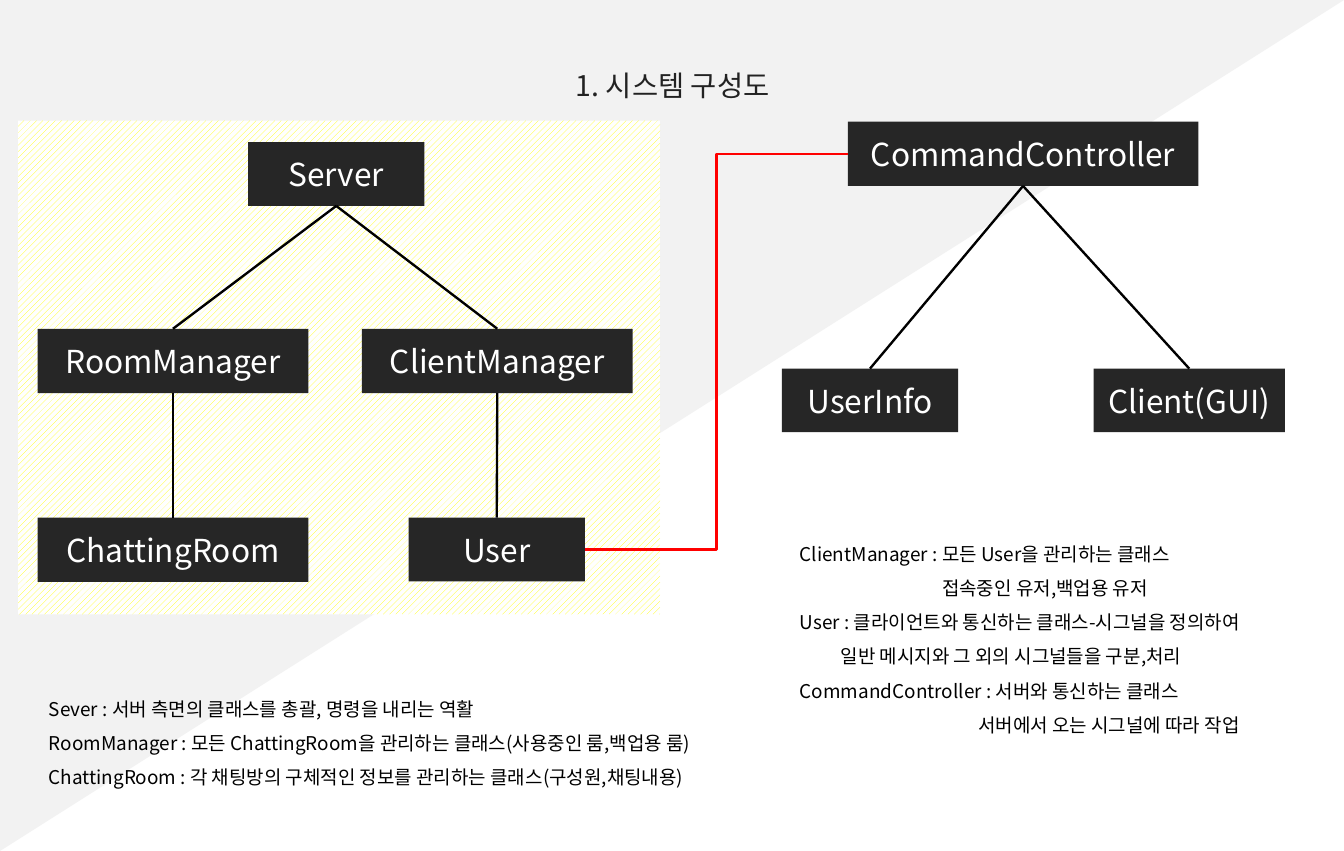
from lxml.etree import SubElement
from pptx import Presentation
from pptx.dml.color import RGBColor
from pptx.enum.dml import MSO_PATTERN
from pptx.enum.shapes import MSO_CONNECTOR, MSO_SHAPE
from pptx.enum.text import MSO_ANCHOR, MSO_AUTO_SIZE, PP_ALIGN
from pptx.oxml.ns import qn
from pptx.util import Inches, Pt

COLORS = {
    "backdrop": "F2F2F2",
    "node": "262626",
    "node_text": "FFFFFF",
    "title": "222222",
    "body": "000000",
    "tree_line": "000000",
    "link_line": "FF0000",
    "stripe": "FFFF00",
    "stripe_ground": "FFFFFF",
}
FONT = "Noto Sans CJK KR"
COLUMNS, ROWS = 118.1, 74.8
CELL = Inches(0.1)
TOP, LEFT, BOTTOM, RIGHT = range(4)

FORMATS = {
    "title": {"size": Pt(18), "name": FONT},
    "body": {"size": Pt(12), "name": FONT},
    "node_text": {"size": Pt(20), "name": FONT},
}
PARAGRAPHS = {
    "title": {"alignment": PP_ALIGN.CENTER, "line_spacing": 1.5},
    "body": {"alignment": PP_ALIGN.LEFT, "line_spacing": 1.5},
    "node_text": {"alignment": PP_ALIGN.CENTER},
}

# name: left, top, width, height in grid cells
NODES = {
    "Server": (21.8, 12.5, 15.5, 5.6),
    "RoomManager": (3.3, 28.9, 23.8, 5.65),
    "ClientManager": (31.8, 28.9, 23.8, 5.65),
    "User": (35.9, 45.5, 15.5, 5.6),
    "ChattingRoom": (3.3, 45.5, 23.8, 5.65),
    "CommandController": (74.5, 10.7, 30.8, 5.65),
    "Client(GUI)": (96.1, 32.4, 16.8, 5.6),
    "UserInfo": (68.7, 32.4, 15.5, 5.6),
}
BRANCHES = [
    ("Server", "RoomManager"),
    ("Server", "ClientManager"),
    ("RoomManager", "ChattingRoom"),
    ("ClientManager", "User"),
    ("CommandController", "Client(GUI)"),
    ("CommandController", "UserInfo"),
]
# text, indent in grid cells
CLIENT_NOTES = [
    ("ClientManager : 모든 User을 관리하는 클래스", 0),
    ("접속중인 유저,백업용 유저", 12.5),
    ("User : 클라이언트와 통신하는 클래스-시그널을 정의하여", 0),
    ("일반 메시지와 그 외의 시그널들을 구분,처리", 3.6),
    ("CommandController : 서버와 통신하는 클래스", 0),
    ("서버에서 오는 시그널에 따라 작업", 15.7),
]
SERVER_NOTES = [
    ("Sever : 서버 측면의 클래스를 총괄, 명령을 내리는 역활", 0),
    ("RoomManager : 모든 ChattingRoom을 관리하는 클래스(사용중인 룸,백업용 룸)", 0),
    ("ChattingRoom : 각 채팅방의 구체적인 정보를 관리하는 클래스(구성원,채팅내용)", 0),
]


def cells(*counts):
    return [round(count * CELL) for count in counts]


def color(name):
    return RGBColor.from_string(COLORS[name])


def apply(target, values):
    for attribute, value in values.items():
        setattr(target, attribute, value)


class Diagram:
    def __init__(self, presentation):
        self.slide = presentation.slides.add_slide(presentation.slide_layouts[6])

    def shape(self, kind, box, fill=None):
        shape = self.slide.shapes.add_shape(kind, *cells(*box))
        shape.shadow.inherit = False
        shape.line.fill.background()
        if fill:
            shape.fill.solid()
            shape.fill.fore_color.rgb = color(fill)
        return shape

    def backdrop(self):
        triangle = self.shape(MSO_SHAPE.ISOSCELES_TRIANGLE, (0, 0, COLUMNS, ROWS), "backdrop")
        triangle.adjustments[0] = 1
        triangle.rotation = 180

    def striped_panel(self, box):
        fill = self.shape(MSO_SHAPE.RECTANGLE, box).fill
        fill.patterned()
        fill.pattern = MSO_PATTERN.WIDE_UPWARD_DIAGONAL
        fill.fore_color.rgb = color("stripe")
        fill.back_color.rgb = color("stripe_ground")

    def add_lines(self, frame, lines, style):
        for number, (text, indent) in enumerate(lines):
            paragraph = frame.add_paragraph() if number else frame.paragraphs[0]
            apply(paragraph, PARAGRAPHS[style])
            if indent:
                paragraph._p.get_or_add_pPr().set("marL", str(cells(indent)[0]))
            run = paragraph.add_run()
            run.text = text
            apply(run.font, FORMATS[style])
            run.font.color.rgb = color(style)
            SubElement(run._r.get_or_add_rPr(), qn("a:ea"), typeface=FONT)

    def text(self, box, lines, style, **frame_values):
        frame = self.slide.shapes.add_textbox(*cells(*box)).text_frame
        apply(frame, {"word_wrap": True, "auto_size": MSO_AUTO_SIZE.SHAPE_TO_FIT_TEXT})
        apply(frame, frame_values)
        self.add_lines(frame, lines, style)

    def node(self, name, box):
        shape = self.shape(MSO_SHAPE.RECTANGLE, box, "node")
        shape.text_frame.vertical_anchor = MSO_ANCHOR.MIDDLE
        self.add_lines(shape.text_frame, [(name, 0)], "node_text")
        return shape

    def connect(self, start, end, sides=(BOTTOM, TOP), kind=MSO_CONNECTOR.STRAIGHT, line="tree_line"):
        connector = self.slide.shapes.add_connector(kind, 0, 0, 0, 0)
        connector.begin_connect(start, sides[0])
        connector.end_connect(end, sides[1])
        connector.line.color.rgb = color(line)
        connector.line.width = Pt(1.5)
        SubElement(connector._element.spPr, qn("a:effectLst"))


def main():
    presentation = Presentation()
    presentation.slide_width, presentation.slide_height = cells(COLUMNS, ROWS)
    diagram = Diagram(presentation)
    diagram.backdrop()
    diagram.striped_panel((1.6, 10.6, 56.4, 43.4))
    margins = dict.fromkeys(("margin_left", "margin_top", "margin_right", "margin_bottom"), 0)
    diagram.text((3.2, 4.5, 111.8, 4.5), [("1. 시스템 구성도", 0)], "title", **margins)
    diagram.text((69.3, 46.2, 45.2, 19.2), CLIENT_NOTES, "body")
    nodes = {name: diagram.node(name, box) for name, box in NODES.items()}
    for parent, child in BRANCHES:
        diagram.connect(nodes[parent], nodes[child])
    diagram.connect(nodes["User"], nodes["CommandController"], (RIGHT, LEFT),
                    MSO_CONNECTOR.ELBOW, "link_line")
    diagram.text((3.3, 59.8, 62.2, 10.1), SERVER_NOTES, "body")
    presentation.save("out.pptx")


if __name__ == "__main__":
    main()
